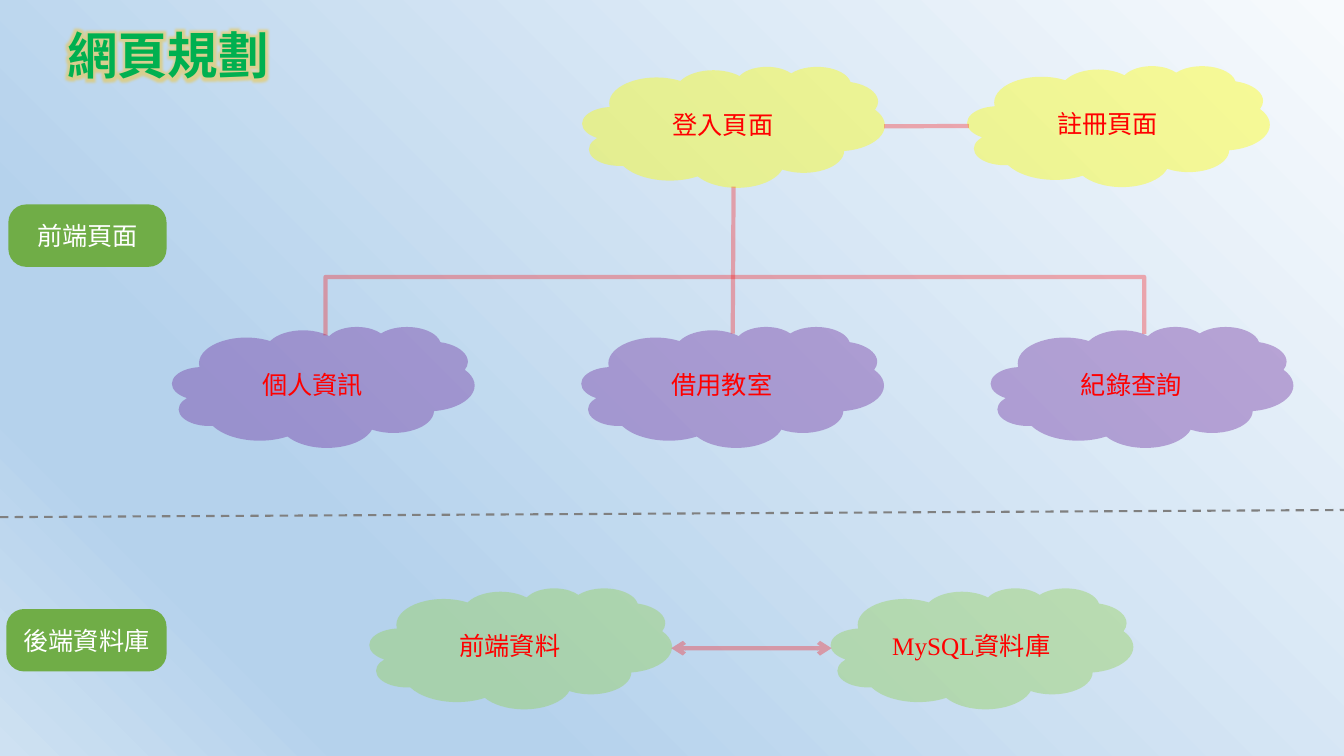
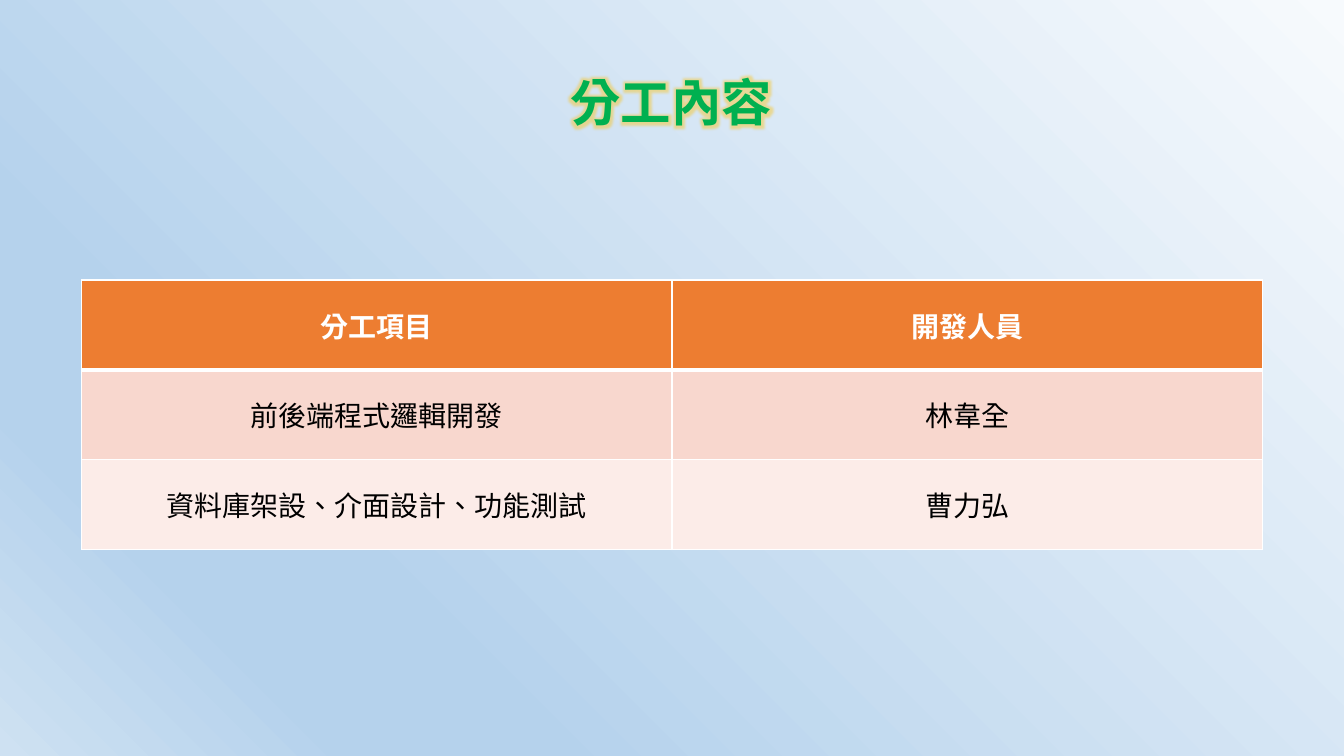
from lxml import etree
from pptx import Presentation
from pptx.dml.color import RGBColor
from pptx.enum.dml import MSO_LINE
from pptx.enum.lang import MSO_LANGUAGE_ID
from pptx.enum.shapes import MSO_CONNECTOR, MSO_SHAPE
from pptx.enum.text import MSO_ANCHOR, MSO_AUTO_SIZE, PP_ALIGN
from pptx.oxml.ns import qn
from pptx.util import Pt

CLOUD, ROUNDED = MSO_SHAPE.CLOUD, MSO_SHAPE.ROUNDED_RECTANGLE
STRAIGHT, ELBOW = MSO_CONNECTOR.STRAIGHT, MSO_CONNECTOR.ELBOW
TITLE_ONLY = 5
FONT = "Times New Roman"
COLORS = {
    "title": "00B050", "glow": "FFC000", "text": "FF0000", "link": "FF0000",
    "entry": "FFFF00", "page": "7030A0", "data": "92D050",
    "tag": "70AD47", "divider": "808080", "white": "FFFFFF", "black": "000000",
    "header": "ED7D31", "odd": "F8D7CE", "even": "FCECE8",
}
BACKGROUND = [(0, "F7FAFD", 50), (74, "B5D2EC", 100),
              (83, "B5D2EC", 100), (100, "CEE1F2", 100)]

PLAN_TITLE, DUTY_TITLE = "網頁規劃", "分工內容"
ENTRIES = [("登入頁面", 416, 47.5), ("註冊頁面", 691, 47)]
PAGES = ["個人資訊", "借用教室", "紀錄查詢"]
DATA = [("前端資料", 264, 420), ("MySQL資料庫", 593.5, 420)]
TAGS = [("前端頁面", 6, 146, 113), ("後端資料庫", 4.5, 435, 114.5)]
DUTIES = [("分工項目", "開發人員"),
          ("前後端程式邏輯開發", "林韋全"),
          ("資料庫架設、介面設計、功能測試", "曹力弘")]

CLOUD_W, CLOUD_H = 216, 86.4
PAGE_LEFT, PAGE_STEP, PAGE_TOP = 123, 292.4, 233.3
BRANCH_Y, BRANCH_DROP = 239, 42


def rgb(key):
    return RGBColor.from_string(COLORS[key])


def sub(parent, tag, **attributes):
    return etree.SubElement(parent, qn(tag), {k: str(v) for k, v in attributes.items()})


def set_alpha(element, percent):
    for color in element.iter(qn("a:srgbClr")):
        sub(color, "a:alpha", val=percent * 1000)


def write(frame, text, size, color, bold=False):
    paragraph = frame.paragraphs[0]
    paragraph.alignment = PP_ALIGN.CENTER
    run = paragraph.add_run()
    run.text = text
    font = run.font
    font.name, font.size, font.bold = FONT, Pt(size), bold
    font.color.rgb = rgb(color)
    font.language_id = MSO_LANGUAGE_ID.TRADITIONAL_CHINESE
    return run


def set_background(master):
    fill = master.background.fill
    fill.gradient()
    fill.gradient_angle = 225
    stops = next(master.element.iter(qn("a:gsLst")))
    for stop in list(stops):
        stops.remove(stop)
    for position, color, alpha in BACKGROUND:
        stop = sub(stops, "a:gs", pos=position * 1000)
        sub(stop, "a:srgbClr", val=color)
        if alpha < 100:
            set_alpha(stop, alpha)


def add_titled_slide(prs, text, center, top, width):
    slide = prs.slides.add_slide(prs.slide_layouts[TITLE_ONLY])
    title = slide.shapes.title
    title.left, title.top = Pt(center - width / 2), Pt(top)
    title.width, title.height = Pt(width), Pt(51)
    frame = title.text_frame
    frame.auto_size = MSO_AUTO_SIZE.NONE
    frame.vertical_anchor = MSO_ANCHOR.TOP
    run = write(frame, text, 36, "title", True)
    effects = etree.Element(qn("a:effectLst"))
    glow = sub(effects, "a:glow", rad=Pt(8))
    sub(glow, "a:srgbClr", val=COLORS["glow"])
    set_alpha(glow, 40)
    run.font._element.find(qn("a:solidFill")).addnext(effects)
    return slide


def add_box(slide, kind, text, box, fill, color):
    shape = slide.shapes.add_shape(kind, *map(Pt, box))
    shape.shadow.inherit = False
    shape.fill.solid()
    shape.fill.fore_color.rgb = rgb(fill)
    shape.line.fill.background()
    shape.text_frame.vertical_anchor = MSO_ANCHOR.MIDDLE
    write(shape.text_frame, text, 18, color)
    return shape


def add_cloud(slide, text, left, top, fill):
    cloud = add_box(slide, CLOUD, text, (left, top, CLOUD_W, CLOUD_H), fill, "text")
    set_alpha(cloud._element.spPr.find(qn("a:solidFill")), 40)


def add_line(slide, start, end, color="link", width=3, kind=STRAIGHT):
    line = slide.shapes.add_connector(kind, *map(Pt, start + end))
    line.line.color.rgb = rgb(color)
    line.line.width = Pt(width)
    if color == "link":
        set_alpha(line.line._ln, 30)
    sub(line._element.spPr, "a:effectLst")
    return line


def add_branch(slide, left, right):
    """Bracket from left to right: an elbow turned a quarter, rising by BRANCH_DROP."""
    center, span = (left + right) / 2, right - left
    top = BRANCH_Y - span / 2
    branch = add_line(slide, (center, top), (center + 1, top + span), kind=ELBOW)
    properties = branch._element.spPr
    for name, value in (("rot", "5400000"), ("flipH", "1"), ("flipV", "1")):
        properties.find(qn("a:xfrm")).set(name, value)
    geometry = properties.find(qn("a:prstGeom"))
    guides = geometry.find(qn("a:avLst"))
    if guides is None:
        guides = sub(geometry, "a:avLst")
    sub(guides, "a:gd", name="adj1", fmla=f"val {BRANCH_DROP * 100000}")


def build_plan(prs):
    slide = add_titled_slide(prs, PLAN_TITLE, 120, 13.7, 220)
    for entry in ENTRIES:
        add_cloud(slide, *entry, "entry")
    for i, page in enumerate(PAGES):
        add_cloud(slide, page, PAGE_LEFT + i * PAGE_STEP, PAGE_TOP, "page")
    for store in DATA:
        add_cloud(slide, *store, "data")

    first, middle, last = (PAGE_LEFT + i * PAGE_STEP + CLOUD_W / 2 for i in range(3))
    add_line(slide, (middle + 0.6, 133.3), (middle, 238.3))
    add_branch(slide, first + 1, last + 1)
    add_line(slide, (631.5, 90.2), (692, 90))
    exchange = add_line(slide, (479.5, 463), (594, 463))
    for end in ("a:headEnd", "a:tailEnd"):
        sub(exchange.line._ln, end, type="arrow")
    divider = add_line(slide, (0, 369.4), (960, 364.3), "divider", 1.5)
    divider.line.dash_style = MSO_LINE.DASH

    for text, left, top, width in TAGS:
        tag = add_box(slide, ROUNDED, text, (left, top, width, 44.6), "tag", "white")
        tag.adjustments[0] = 0.285


def set_borders(cell, top, bottom):
    sides = (("L", 1), ("R", 1), ("T", top), ("B", bottom))
    properties = cell._tc.get_or_add_tcPr()
    for i, (side, width) in enumerate(sides):
        border = etree.Element(qn(f"a:ln{side}"), w=str(Pt(width)))
        sub(sub(border, "a:solidFill"), "a:srgbClr", val=COLORS["white"])
        properties.insert(i, border)


def build_duties(prs):
    slide = add_titled_slide(prs, DUTY_TITLE, 479.5, 47.5, 466)
    table = slide.shapes.add_table(len(DUTIES), 2, Pt(58.2), Pt(200),
                                   Pt(843.6), Pt(192.3)).table
    table.horz_banding = False
    for r, duty in enumerate(DUTIES):
        header = r == 0
        fill = "header" if header else "odd" if r % 2 else "even"
        for c, text in enumerate(duty):
            cell = table.cell(r, c)
            cell.fill.solid()
            cell.fill.fore_color.rgb = rgb(fill)
            cell.vertical_anchor = MSO_ANCHOR.MIDDLE
            set_borders(cell, 3 if r == 1 else 1, 3 if header else 1)
            write(cell.text_frame, text, 20, "white" if header else "black", header)


def main():
    prs = Presentation()
    prs.slide_width, prs.slide_height = Pt(960), Pt(540)
    set_background(prs.slide_master)
    build_plan(prs)
    build_duties(prs)
    prs.save("out.pptx")


if __name__ == "__main__":
    main()
